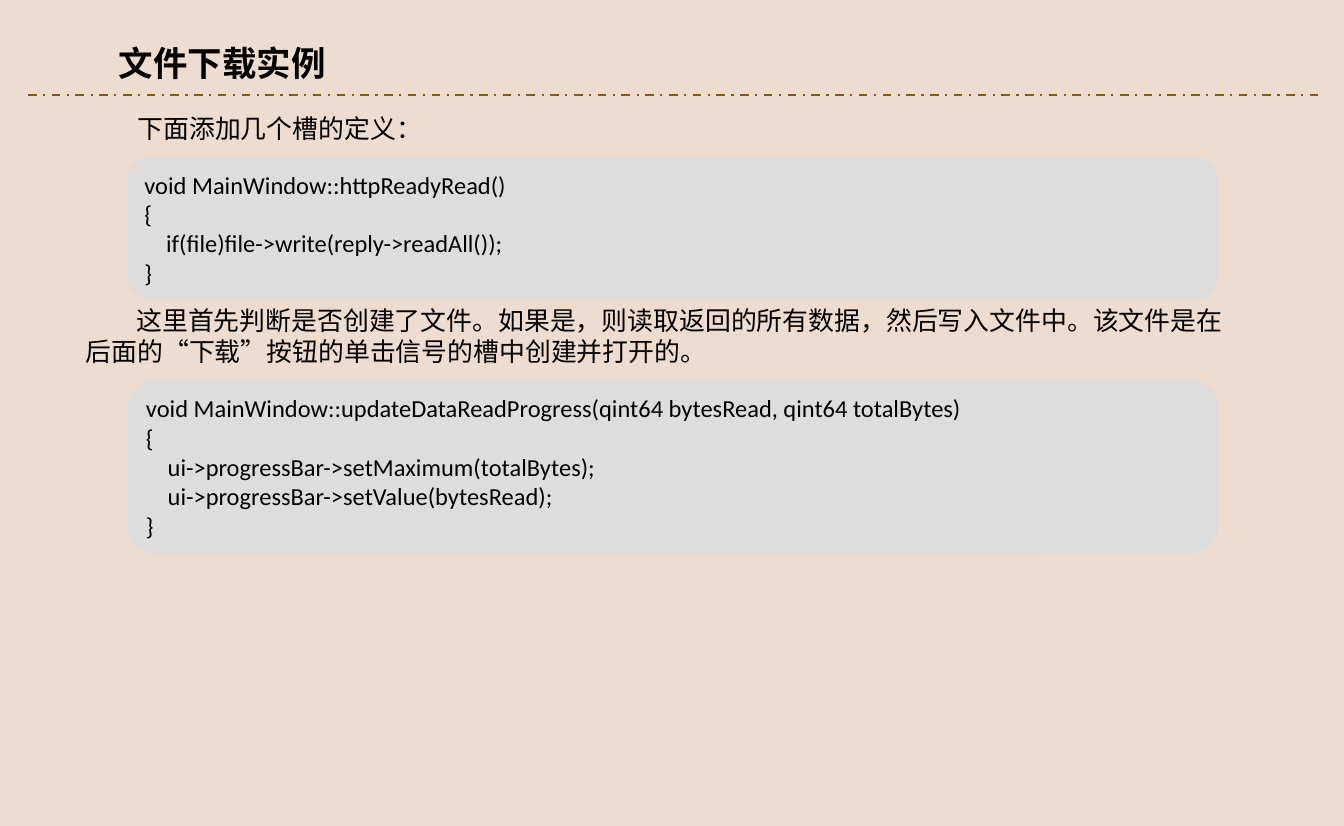
from dataclasses import dataclass

from lxml import etree
from pptx import Presentation
from pptx.dml.color import RGBColor
from pptx.enum.dml import MSO_LINE
from pptx.enum.shapes import MSO_CONNECTOR, MSO_SHAPE
from pptx.enum.text import MSO_ANCHOR, MSO_AUTO_SIZE, PP_ALIGN
from pptx.oxml.ns import qn
from pptx.slide import Slide
from pptx.text.text import TextFrame
from pptx.util import Inches, Pt

ROUND = MSO_SHAPE.ROUNDED_RECTANGLE
STRAIGHT = MSO_CONNECTOR.STRAIGHT
DASH = MSO_LINE.DASH_DOT
LEFT = PP_ALIGN.LEFT
MIDDLE = MSO_ANCHOR.MIDDLE
GROW = MSO_AUTO_SIZE.SHAPE_TO_FIT_TEXT

WIDTH, HEIGHT = Pt(935.6), Pt(575)


@dataclass(frozen=True)
class Theme:
    font: str = "Calibri"
    back: str = "EEDCCE"
    ink: str = "000000"
    panel: str = "DDDDDD"
    rule: str = "806000"
    title: int = 24
    body: int = 18
    code: int = 17
    line: float = 1.5
    first: float = 0.49  # first-line indent, inches
    tab: float = 0.21  # code indent, inches


@dataclass(frozen=True)
class Box:
    """Place and size in percent of the slide."""
    left: float
    top: float
    width: float
    height: float


@dataclass(frozen=True)
class Note:
    box: Box
    text: str
    size: int
    bold: bool = False
    wrap: bool = False
    first: float = 0


@dataclass(frozen=True)
class Code:
    top: float
    height: float
    lines: tuple[str, ...]


THEME = Theme()
EDGE, SPAN = 9.47, 81.19  # shared left edge and width of the code panels

# Parts from top to bottom; a leading tab marks an indented code line
PARTS: tuple[Note | Code, ...] = (
    Note(Box(8.08, 4.51, 17.09, 6.26), "文件下载实例", THEME.title, bold=True),
    Note(Box(EDGE, 13.02, 22.94, 5.01), "下面添加几个槽的定义：", THEME.body),
    Code(19.02, 17.27, (
        "void MainWindow::httpReadyRead()",
        "{",
        "\tif(file)file->write(reply->readAll());",
        "}")),
    Note(Box(5.62, 36.3, 87.68, 8.89),
         "这里首先判断是否创建了文件。如果是，则读取返回的所有数据，然后写入文件中。"
         "该文件是在后面的“下载”按钮的单击信号的槽中创建并打开的。",
         THEME.body, wrap=True, first=THEME.first),
    Code(45.93, 21.15, (
        "void MainWindow::updateDataReadProgress(qint64 bytesRead, qint64 totalBytes)",
        "{",
        "\tui->progressBar->setMaximum(totalBytes);",
        "\tui->progressBar->setValue(bytesRead);",
        "}")),
)


def across(share: float) -> int:
    return round(WIDTH * share / 100)


def down(share: float) -> int:
    return round(HEIGHT * share / 100)


def place(box: Box) -> tuple[int, int, int, int]:
    return across(box.left), down(box.top), across(box.width), down(box.height)


def tint(code: str) -> RGBColor:
    return RGBColor.from_string(code)


def write(frame: TextFrame, text: str, *, size: int, bold: bool = False,
          margin: float = 0, first: float = 0, new: bool = False) -> None:
    para = frame.add_paragraph() if new else frame.paragraphs[0]
    para.alignment = LEFT
    props = para._p.get_or_add_pPr()
    props.set("marL", str(Inches(margin)))
    props.set("indent", str(Inches(first)))
    run = para.add_run()
    run.text = text
    run.font.name = THEME.font
    run.font.size = Pt(size)
    run.font.bold = bold
    run.font.color.rgb = tint(THEME.ink)


def draw_note(slide: Slide, note: Note) -> None:
    frame = slide.shapes.add_textbox(*place(note.box)).text_frame
    frame.word_wrap = note.wrap
    frame.auto_size = GROW
    write(frame, note.text, size=note.size, bold=note.bold, first=note.first)


def draw_code(slide: Slide, code: Code) -> None:
    box = Box(EDGE, code.top, SPAN, code.height)
    panel = slide.shapes.add_shape(ROUND, *place(box))
    panel.shadow.inherit = False
    panel.fill.solid()
    panel.fill.fore_color.rgb = tint(THEME.panel)
    panel.line.fill.background()
    frame = panel.text_frame
    frame.word_wrap = True
    frame.auto_size = GROW
    frame.vertical_anchor = MIDDLE
    for row, line in enumerate(code.lines):
        margin = THEME.tab if line.startswith("\t") else 0
        write(frame, line.lstrip("\t"), size=THEME.code, margin=margin, new=row > 0)


def draw_rule(slide: Slide, left: float, right: float, top: float) -> None:
    rule = slide.shapes.add_connector(
        STRAIGHT, across(left), down(top), across(right), down(top))
    rule.line.color.rgb = tint(THEME.rule)
    rule.line.width = Pt(THEME.line)
    rule.line.dash_style = DASH
    etree.SubElement(rule._element.spPr, qn("a:effectLst"))


def main() -> None:
    deck = Presentation()
    deck.slide_width, deck.slide_height = WIDTH, HEIGHT
    slide = deck.slides.add_slide(deck.slide_layouts[6])
    slide.background.fill.solid()
    slide.background.fill.fore_color.rgb = tint(THEME.back)

    # Line under the title
    draw_rule(slide, 2.08, 98.46, 11.51)
    # Title, explanations and code panels
    for part in PARTS:
        if isinstance(part, Note):
            draw_note(slide, part)
        else:
            draw_code(slide, part)

    deck.save("out.pptx")


if __name__ == "__main__":
    main()
